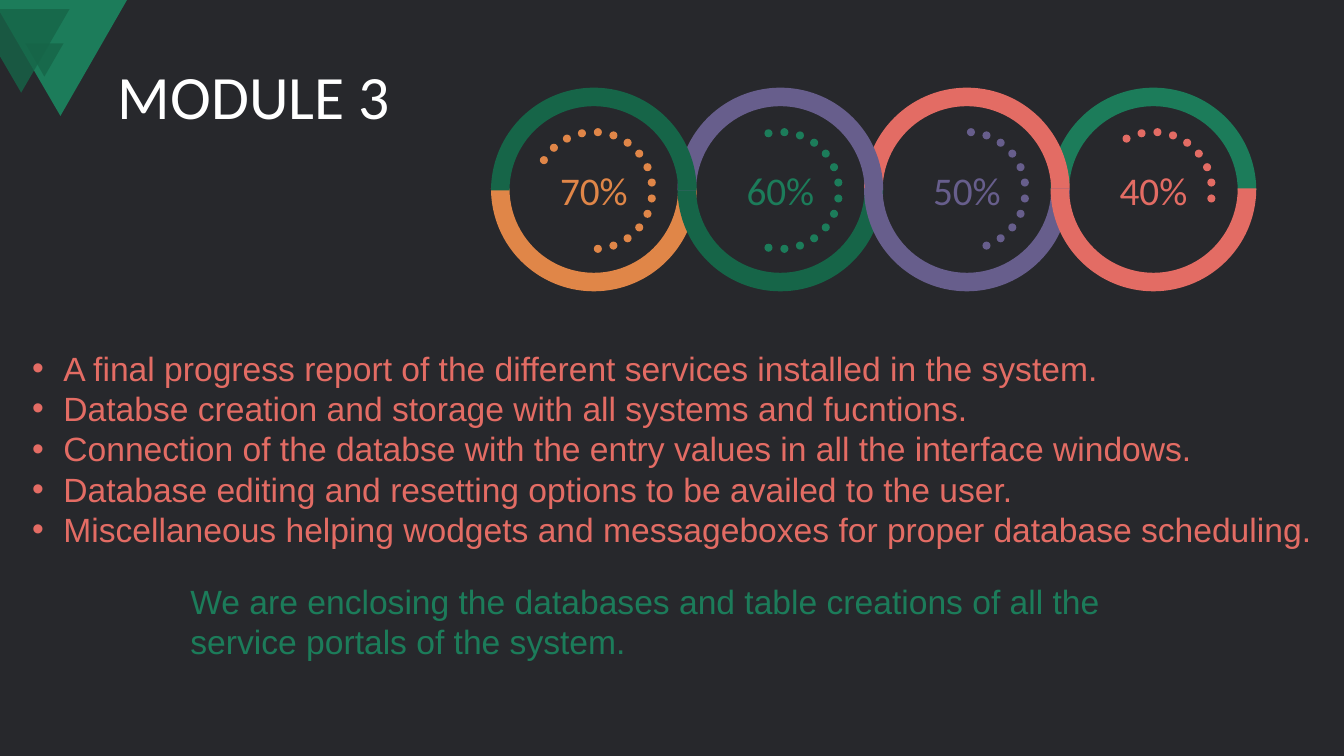
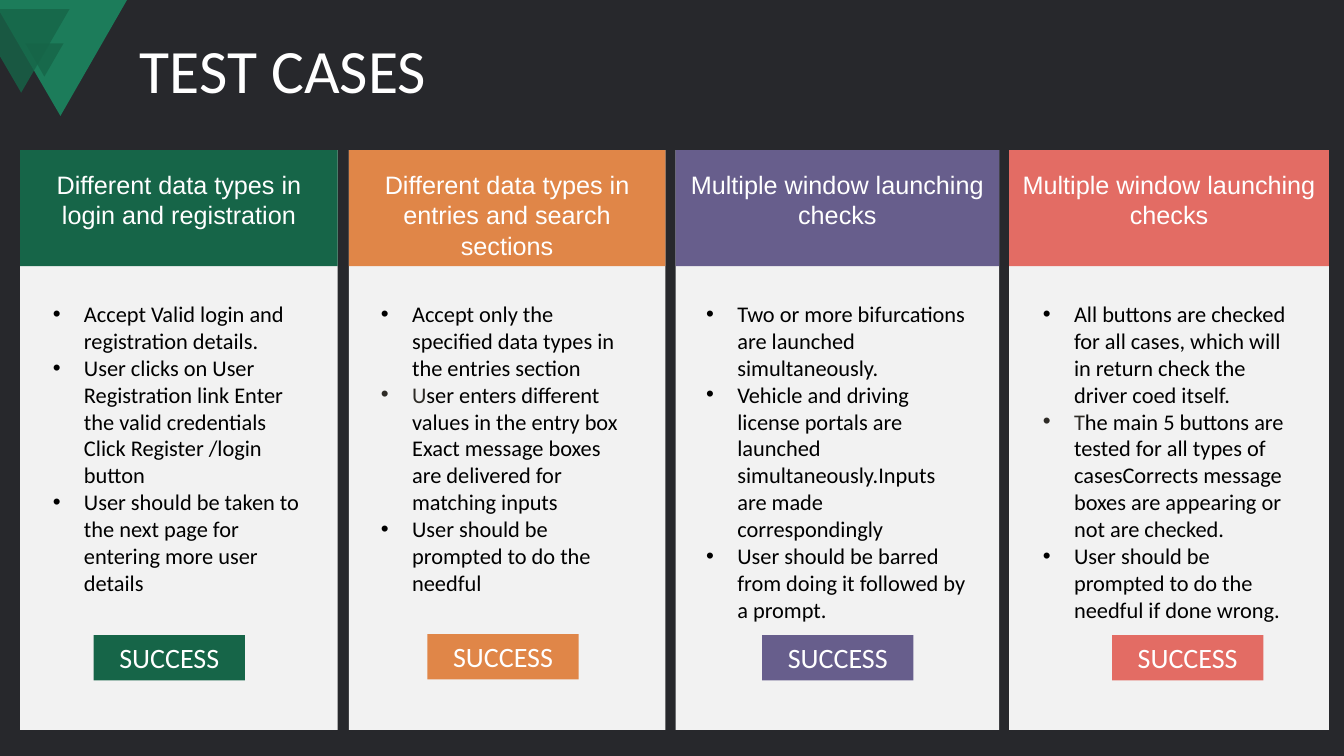
import math

import pptx
import pptx.dml.color
import pptx.enum.shapes
import pptx.enum.text
import pptx.oxml
import pptx.util
from lxml import etree
from pptx.oxml import ns

RGBColor = pptx.dml.color.RGBColor
SHAPE = pptx.enum.shapes.MSO_SHAPE
ALIGN = pptx.enum.text.PP_ALIGN
ANCHOR = pptx.enum.text.MSO_ANCHOR

# Shared look: 100 px to the inch
PX = 9144
SLIDE_SIZE = (1333, 750)
BACKGROUND = RGBColor(0x27, 0x28, 0x2C)
GREEN = RGBColor(0x1C, 0x7C, 0x5A)
DARK_GREEN = RGBColor(0x16, 0x65, 0x48)
ORANGE = RGBColor(0xE0, 0x86, 0x48)
PURPLE = RGBColor(0x67, 0x5E, 0x8C)
CORAL = RGBColor(0xE3, 0x6C, 0x64)
PANEL = RGBColor(0xF2, 0xF2, 0xF2)
WHITE = RGBColor(0xFF, 0xFF, 0xFF)
BLACK = RGBColor(0x00, 0x00, 0x00)
CHARCOAL = RGBColor(0x2E, 0x2B, 0x26)
HEADING_FONT = "Calibri"
TEXT_FONT = "Arial"
BULLET_INDENT = 31

# Slide 1 content
# label, label and dot colour, upper arc, lower arc, first dot step, dot count
RINGS = [
    ("70%", ORANGE, DARK_GREEN, ORANGE, 9, 16),
    ("60%", GREEN, PURPLE, DARK_GREEN, 6, 14),
    ("50%", PURPLE, CORAL, PURPLE, 5, 11),
    ("40%", CORAL, GREEN, CORAL, 7, 9),
]
RING_LEFT, RING_PITCH, RING_SIZE = 487, 185, 204
UPPER_TOP, LOWER_TOP = 87, 85
ARC_THICKNESS = 0.09
DOTS_PER_TURN, DOT_RADIUS, DOT_SIZE = 23, 58, 8

PROGRESS_POINTS = [
    "A final progress report of the different services installed in the system.",
    "Databse creation and storage with all systems and fucntions.",
    "Connection of the databse with the entry values in all the interface windows.",
    "Database editing and resetting options to be availed to the user.",
    "Miscellaneous helping wodgets and messageboxes for proper database scheduling.",
]
CLOSING = ("We are enclosing the databases and table creations of all the "
           "service portals of the system.")

# Slide 2 content; a pair is a grey first letter and the rest of its sentence
CASES = [
    {"left": 20, "width": 315, "body": 270, "button": (93, 630), "colour": DARK_GREEN,
     "heading": "Different data types in login and registration",
     "points": [
         "Accept Valid login and registration details.",
         "User clicks on User Registration link Enter the valid credentials "
         "Click Register /login button",
         "User should be taken to the next page for entering more user details"]},
    {"left": 346, "width": 314, "body": 270, "button": (424, 629), "colour": ORANGE,
     "heading": "Different data types in entries and search sections",
     "points": [
         "Accept only the specified data types in the entries section",
         ("U", "ser enters different values in the entry box Exact message "
               "boxes are delivered for matching inputs"),
         "User should be prompted to do the needful"]},
    {"left": 670, "width": 321, "body": 280, "button": (756, 630), "colour": PURPLE,
     "heading": "Multiple window launching checks",
     "points": [
         "Two or more bifurcations are launched simultaneously.",
         "Vehicle and driving license portals are launched "
         "simultaneously.Inputs are made correspondingly",
         "User should be barred from doing it followed by a prompt."]},
    {"left": 1001, "width": 317, "body": 270, "button": (1103, 630), "colour": CORAL,
     "heading": "Multiple window launching checks",
     "points": [
         "All buttons are checked for all cases, which will in return check "
         "the driver coed itself.",
         ("T", "he main 5 buttons are tested for all types of casesCorrects "
               "message boxes are appearing or not are checked."),
         "User should be prompted to do the needful if done wrong."]},
]
CASE_TOP, CASE_HEIGHT, HEADER_HEIGHT, POINTS_TOP = 149, 575, 115, 293
BUTTON_SIZE = (150, 45)


def emu(*lengths):
    return [round(length * PX) for length in lengths]


# Drawing helpers
def paint(shape, colour, opacity=100):
    shape.shadow.inherit = False
    shape.fill.solid()
    shape.fill.fore_color.rgb = colour
    shape.line.fill.background()
    if opacity < 100:
        for colour_element in shape.fill._xPr.iter(ns.qn("a:srgbClr")):
            alpha = etree.SubElement(colour_element, ns.qn("a:alpha"))
            alpha.set("val", str(opacity * 1000))
    return shape


def add_block(slide, kind, left, top, width, height, colour, opacity=100):
    shape = slide.shapes.add_shape(kind, *emu(left, top, width, height))
    return paint(shape, colour, opacity)


def add_polygon(slide, points, colour, opacity=100):
    builder = slide.shapes.build_freeform(*points[0], scale=PX)
    builder.add_line_segments(points[1:], close=True)
    return paint(builder.convert_to_shape(), colour, opacity)


def style(paragraph, font_name, size, colour, align=ALIGN.LEFT):
    paragraph.alignment = align
    paragraph.font.name = font_name
    paragraph.font.size = pptx.util.Pt(size)
    paragraph.font.color.rgb = colour


def add_text(slide, box, text, font_name, size, colour, align=ALIGN.LEFT):
    frame = slide.shapes.add_textbox(*emu(*box)).text_frame
    frame.word_wrap = True
    frame.text = text
    style(frame.paragraphs[0], font_name, size, colour, align)
    return frame


def label_block(shape, text, font_name, size):
    frame = shape.text_frame
    frame.word_wrap = True
    frame.text = text
    style(frame.paragraphs[0], font_name, size, WHITE, ALIGN.CENTER)
    return frame


def add_bullets(slide, box, points, font_name, size, colour):
    frame = slide.shapes.add_textbox(*emu(*box)).text_frame
    frame.word_wrap = True
    for index, point in enumerate(points):
        paragraph = frame.add_paragraph() if index else frame.paragraphs[0]
        style(paragraph, font_name, size, colour)
        if isinstance(point, tuple):
            initial, rest = point
            run = paragraph.add_run()
            run.text = initial
            run.font.color.rgb = CHARCOAL
            paragraph.add_run().text = rest
        else:
            paragraph.add_run().text = point
        properties = paragraph._p.get_or_add_pPr()
        indent, = emu(BULLET_INDENT)
        properties.set("marL", str(indent))
        properties.set("indent", str(-indent))
        bullet_font = pptx.oxml.parse_xml(
            '<a:buFont %s typeface="Arial"/>' % ns.nsdecls("a"))
        bullet = pptx.oxml.parse_xml('<a:buChar %s char="•"/>' % ns.nsdecls("a"))
        properties.insert_element_before(bullet_font, "a:tabLst", "a:defRPr", "a:extLst")
        properties.insert_element_before(bullet, "a:tabLst", "a:defRPr", "a:extLst")


def start_slide(presentation, title, left, top):
    slide = presentation.slides.add_slide(presentation.slide_layouts[6])
    slide.background.fill.solid()
    slide.background.fill.fore_color.rgb = BACKGROUND
    # Corner triangles
    add_polygon(slide, [(0, 0), (126, 0), (60, 115), (0, 12)], GREEN)
    small = add_block(slide, SHAPE.ISOSCELES_TRIANGLE, 25, 43, 38, 33, DARK_GREEN, 80)
    small.rotation = 180
    add_polygon(slide, [(0, 9), (69, 9), (21, 92), (0, 56)], DARK_GREEN, 80)
    # Title
    frame = add_text(slide, (left, top, 1150, 145), title, HEADING_FONT, 44, WHITE)
    frame.vertical_anchor = ANCHOR.MIDDLE
    frame.paragraphs[0].line_spacing = 0.9
    return slide


# Slide 1: progress rings
def add_arc(slide, index, upper):
    colour = RINGS[index][2 if upper else 3]
    arc = add_block(slide, SHAPE.BLOCK_ARC, RING_LEFT + index * RING_PITCH,
                    UPPER_TOP if upper else LOWER_TOP, RING_SIZE, RING_SIZE, colour)
    start, end = (108, 0) if upper else (0, 108)
    for position, value in enumerate((start, end, ARC_THICKNESS)):
        arc.adjustments[position] = value


def build_module(presentation):
    slide = start_slide(presentation, "MODULE 3", 107, 26)
    # Stacking order makes the rings look linked
    for index, upper in ((3, True), (2, True), (0, False), (1, False),
                         (2, False), (3, False), (1, True), (0, True)):
        add_arc(slide, index, upper)
    for index, (label, colour, _, _, first, count) in enumerate(RINGS):
        centre_x = RING_LEFT + index * RING_PITCH + RING_SIZE / 2
        centre_y = UPPER_TOP + RING_SIZE / 2
        for step in range(first, first - count, -1):
            angle = 2 * math.pi * (step + 0.5) / DOTS_PER_TURN
            add_block(slide, SHAPE.OVAL,
                      centre_x + DOT_RADIUS * math.cos(angle) - DOT_SIZE / 2,
                      centre_y - DOT_RADIUS * math.sin(angle) - DOT_SIZE / 2,
                      DOT_SIZE, DOT_SIZE, colour)
        frame = add_text(slide, (centre_x - 44, 160, 88, 57), label,
                         HEADING_FONT, 28, colour, ALIGN.CENTER)
        frame.word_wrap = False
    add_bullets(slide, (22, 340, 1289, 252), PROGRESS_POINTS, TEXT_FONT, 24, CORAL)
    add_text(slide, (179, 571, 996, 91), CLOSING, TEXT_FONT, 24, GREEN)


# Slide 2: one column per test case
def build_test_cases(presentation):
    slide = start_slide(presentation, "TEST CASES", 129, 0)
    for case in CASES:
        left, width, colour = case["left"], case["width"], case["colour"]
        add_block(slide, SHAPE.RECTANGLE, left, CASE_TOP, width, CASE_HEIGHT, PANEL)
        header = add_block(slide, SHAPE.RECTANGLE, left, CASE_TOP, width,
                           HEADER_HEIGHT, colour)
        frame = label_block(header, case["heading"], TEXT_FONT, 18)
        frame.vertical_anchor = ANCHOR.TOP
        frame.margin_top, frame.margin_bottom = emu(19, 0)
        body_left = left + (width - case["body"]) / 2
        add_bullets(slide, (body_left, POINTS_TOP, case["body"], 333),
                    case["points"], HEADING_FONT, 16, BLACK)
        button = add_block(slide, SHAPE.RECTANGLE, *case["button"], *BUTTON_SIZE, colour)
        label_block(button, "SUCCESS", HEADING_FONT, 20)


def main():
    presentation = pptx.Presentation()
    presentation.slide_width, presentation.slide_height = emu(*SLIDE_SIZE)
    build_module(presentation)
    build_test_cases(presentation)
    presentation.save("out.pptx")


if __name__ == "__main__":
    main()
